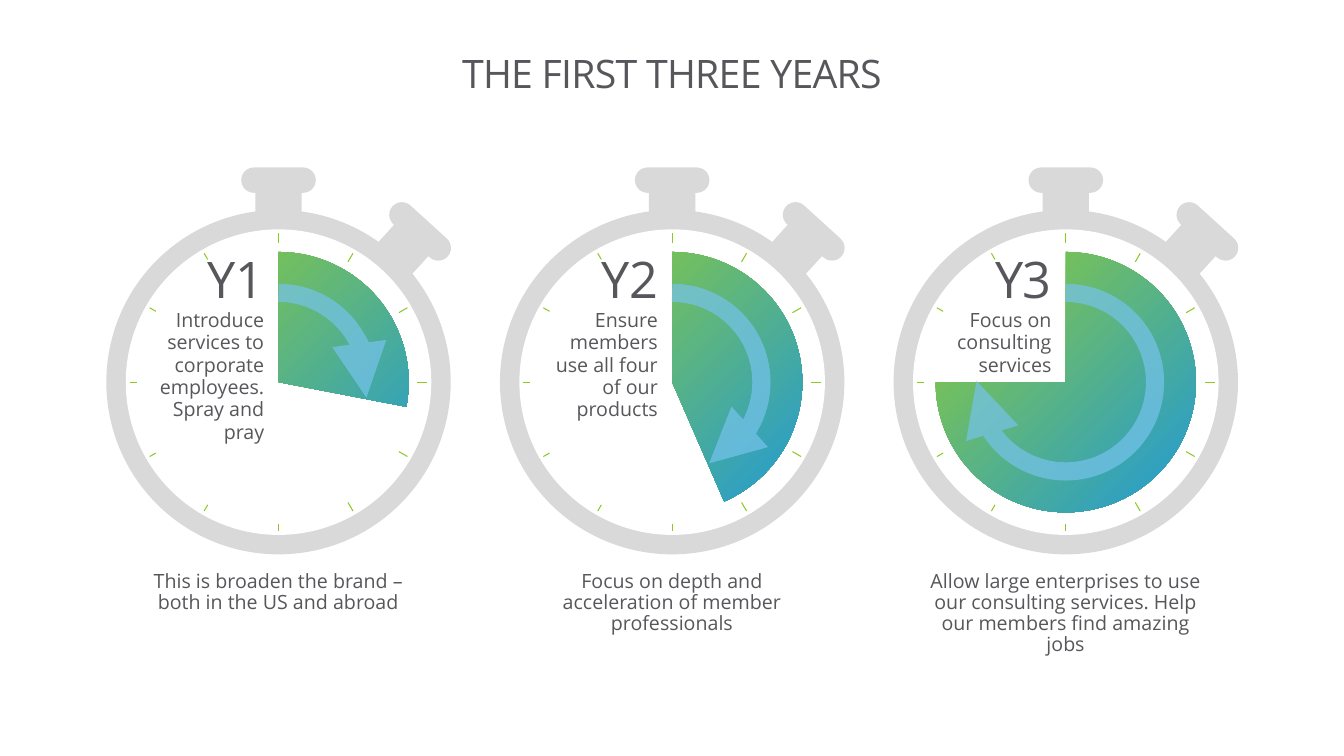
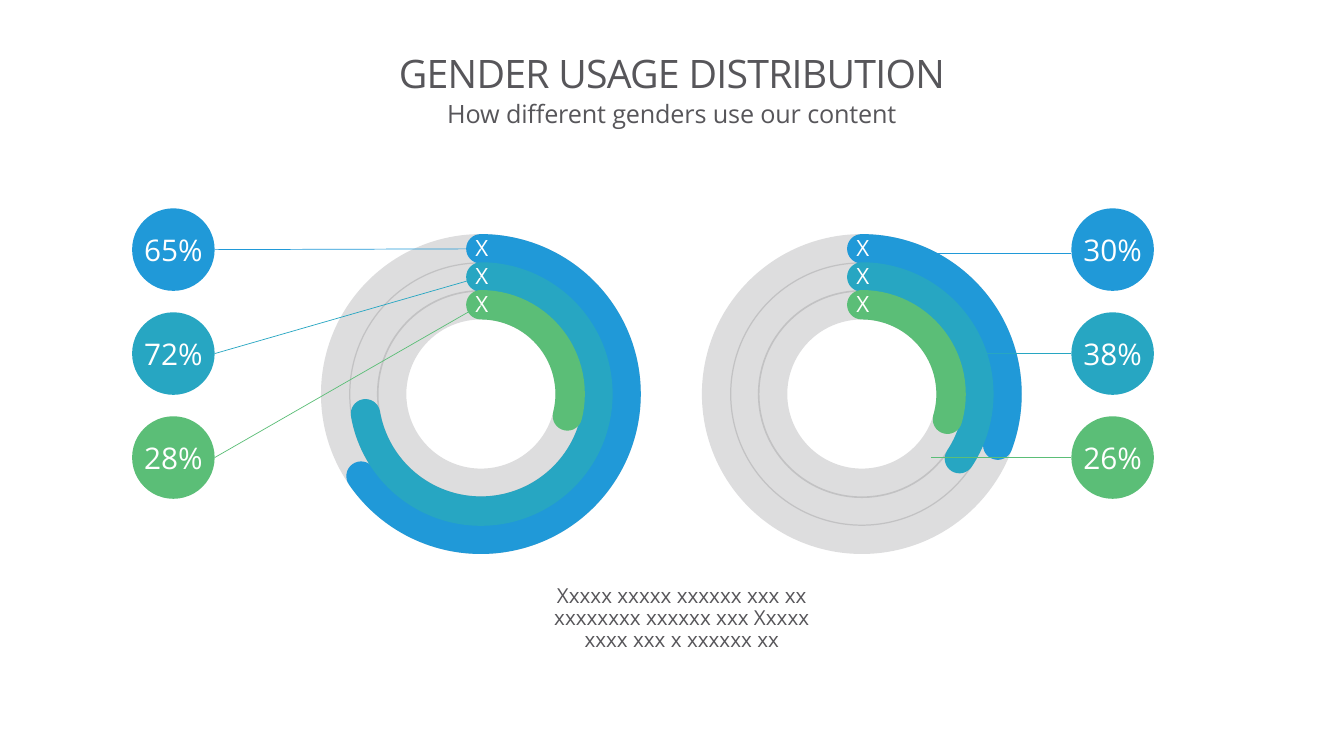
from math import cos, radians, sin

from lxml.etree import SubElement
from pptx import Presentation
from pptx.dml.color import RGBColor
from pptx.enum.shapes import MSO_CONNECTOR, MSO_SHAPE
from pptx.enum.text import MSO_ANCHOR, PP_ALIGN
from pptx.oxml.ns import qn
from pptx.util import Cm, Pt

FONT = "Open Sans"
INK = RGBColor(0x57, 0x56, 0x5A)
WHITE = RGBColor(0xFF, 0xFF, 0xFF)
CASE_GREY = RGBColor(0xD9, 0xD9, 0xD9)
TICK_GREEN = RGBColor(0x8D, 0xC9, 0x28)
LEAF = RGBColor(0x7E, 0xC4, 0x4E)
SKY = RGBColor(0x76, 0xC3, 0xEB)
BLUE = RGBColor(0x20, 0x99, 0xD8)
TEAL = RGBColor(0x27, 0xA6, 0xC2)
GREEN = RGBColor(0x5B, 0xBE, 0x77)

SERIES = (BLUE, TEAL, GREEN)
TEXT_INSETS = (0.25, 0.13, 0.25, 0.13)
NO_INSETS = (0, 0, 0, 0)
TWELVE_O_CLOCK = 270

# Stopwatches: first centre, distance between centres, common height
WATCH_X, WATCH_PITCH, WATCH_Y = 7.02, 9.92, 9.63
WATCHES = (
    ("Y1", "Introduce services to corporate employees. Spray and pray",
     "This is broaden the brand – both in the US and abroad", 10.9, 10),
    ("Y2", "Ensure members use all four of our products",
     "Focus on depth and acceleration of member professionals", 66.4, 65.5),
    ("Y3", "Focus on consulting services",
     "Allow large enterprises to use our consulting services. "
     "Help our members find amazing jobs", 179.9, 180.8),
)

# Ring charts: common height, radii from outside in, badge rows
RING_Y = 9.93
RING_RADII = (3.66, 2.95, 2.25)
BADGE_SIZE = 2.08
BADGE_ROWS = [6.29 + 2.62 * row for row in range(3)]


def centred(x, y, width, height):
    """Frame (left, top, width, height) around a centre."""
    return x - width / 2, y - height / 2, width, height


def polar(x, y, radius, clock_angle):
    """Point at a distance from a centre, clockwise from twelve o'clock."""
    turn = radians(clock_angle)
    return x + radius * sin(turn), y - radius * cos(turn)


def add_figure(page, kind, frame, fill=None):
    figure = page.shapes.add_shape(kind, *map(Cm, frame))
    figure.shadow.inherit = False
    figure.line.fill.background()
    if fill is None:
        figure.fill.background()
    else:
        figure.fill.solid()
        figure.fill.fore_color.rgb = fill
    return figure


def add_circle(page, x, y, radius, fill=None):
    return add_figure(page, MSO_SHAPE.OVAL, centred(x, y, 2 * radius, 2 * radius), fill)


def add_sweep(page, kind, x, y, radius, end):
    """Pie or arc that runs clockwise from twelve o'clock."""
    sweep = add_figure(page, kind, centred(x, y, 2 * radius, 2 * radius))
    sweep.adjustments[0] = TWELVE_O_CLOCK * 0.6
    sweep.adjustments[1] = end * 0.6
    return sweep


def stroke(figure, colour, weight, opacity=100, cap="flat", arrow=False):
    figure.line.color.rgb = colour
    figure.line.width = Pt(weight)
    outline = figure.element.spPr.find(qn("a:ln"))
    outline.set("cap", cap)
    if opacity < 100:
        tint = outline.find(".//" + qn("a:srgbClr"))
        SubElement(tint, qn("a:alpha")).set("val", str(opacity * 1000))
    if arrow:
        SubElement(outline, qn("a:tailEnd")).set("type", "triangle")


def fill_from_corner(figure, corner, outside):
    """Radial gradient that spreads from the bottom right corner."""
    figure.fill.gradient()
    stops = figure.fill.gradient_stops
    for stop, colour, position in zip(stops, (corner, outside), (0, 0.84)):
        stop.color.rgb = colour
        stop.position = position
    gradient = figure.element.spPr.find(qn("a:gradFill"))
    gradient.remove(gradient.find(qn("a:lin")))
    spread = SubElement(gradient, qn("a:path"))
    spread.set("path", "circle")
    focus = SubElement(spread, qn("a:fillToRect"))
    focus.set("l", "100000")
    focus.set("t", "100000")


def add_line(page, start, end, colour, weight):
    line = page.shapes.add_connector(MSO_CONNECTOR.STRAIGHT, *map(Cm, start + end))
    line.line.color.rgb = colour
    line.line.width = Pt(weight)
    SubElement(line.element.spPr, qn("a:effectLst"))


def write(box, paragraphs, colour=INK, align=PP_ALIGN.CENTER, spacing=None,
          insets=TEXT_INSETS, anchor=MSO_ANCHOR.TOP, wrap=True):
    """Fill a box with paragraphs given as (text, size, tracking)."""
    frame = box.text_frame
    frame.word_wrap = wrap
    frame.vertical_anchor = anchor
    (frame.margin_left, frame.margin_top,
     frame.margin_right, frame.margin_bottom) = map(Cm, insets)
    for index, (text, size, tracking) in enumerate(paragraphs):
        para = frame.add_paragraph() if index else frame.paragraphs[0]
        para.alignment = align
        if spacing is not None:
            para.line_spacing = spacing
        span = para.add_run()
        span.text = text
        span.font.name = FONT
        span.font.size = Pt(size)
        span.font.color.rgb = colour
        if tracking:
            span.font._element.set("spc", str(round(tracking * 100)))


def add_text(page, frame, paragraphs, **style):
    write(page.shapes.add_textbox(*map(Cm, frame)), paragraphs, **style)


def add_page(deck, title, subtitle=None):
    page = deck.slides.add_slide(deck.slide_layouts[6])
    add_text(page, (2.54, 0.79, 28.78, 2.26), [(title, 28, -0.5)],
             spacing=0.86, insets=NO_INSETS, anchor=MSO_ANCHOR.MIDDLE)
    if subtitle:
        add_text(page, (2.54, 2.59, 28.78, 1.12), [(subtitle, 18, -0.1)],
                 spacing=0.86, insets=NO_INSETS)
    return page


def add_stopwatch(page, x, y):
    add_circle(page, x, y, 4.34, CASE_GREY)
    for direction, tilt, push in ((0, 0, 0), (43.2, 42.3, 0.12)):
        cap = add_figure(page, MSO_SHAPE.ROUNDED_RECTANGLE,
                         centred(*polar(x, y, 5.09 + push, direction), 1.88, 0.64),
                         CASE_GREY)
        cap.adjustments[0] = 0.5
        neck = add_figure(page, MSO_SHAPE.RECTANGLE,
                          centred(*polar(x, y, 4.42 + push, direction), 1.17, 0.91),
                          CASE_GREY)
        cap.rotation = neck.rotation = tilt
    add_circle(page, x, y, 3.85, WHITE)
    for angle in range(0, 360, 30):
        inner = 3.5 if angle < 180 else 3.57
        add_line(page, polar(x, y, 3.75, angle), polar(x, y, inner, angle),
                 TICK_GREEN, 0.75)


def add_year(page, x, y, year, goal, caption, pie_end, arrow_end):
    add_stopwatch(page, x, y)
    pie = add_sweep(page, MSO_SHAPE.PIE, x, y, 3.28, pie_end)
    fill_from_corner(pie, BLUE, LEAF)
    arrow = add_sweep(page, MSO_SHAPE.ARC, x, y, 2.25, arrow_end)
    stroke(arrow, SKY, 13, opacity=70, arrow=True)
    add_text(page, (x - 3.74, 7.09, 3.63, 3.1), [(year, 36, -0.5), (goal, 14, 0)],
             align=PP_ALIGN.RIGHT, spacing=Pt(16))
    add_text(page, (x - 3.69, 14.27, 7.37, 1.88), [(caption, 14, 0)], spacing=0.9)


def add_ring_chart(page, x, ends):
    for radius in RING_RADII:
        stroke(add_circle(page, x, RING_Y, radius), INK, 21, opacity=20)
    for radius, end, colour in zip(RING_RADII, ends, SERIES):
        arc = add_sweep(page, MSO_SHAPE.ARC, x, RING_Y, radius, end)
        stroke(arc, colour, 21, cap="rnd")
    for radius in RING_RADII:
        add_text(page, (x - 0.39, RING_Y - radius - 0.42, 0.86, 0.86),
                 [("X", 16, 0)], colour=WHITE, align=PP_ALIGN.LEFT,
                 spacing=0.89, wrap=False)


def add_badges(page, x, shares):
    for y, share, colour in zip(BADGE_ROWS, shares, SERIES):
        badge = add_circle(page, x, y, BADGE_SIZE / 2, colour)
        write(badge, [(share, 21.3, 0)], colour=WHITE, anchor=MSO_ANCHOR.MIDDLE,
              insets=(0.33, 0.18, 0.33, 0.18), wrap=False)


def build_years(deck):
    page = add_page(deck, "THE FIRST THREE YEARS")
    for index, watch in enumerate(WATCHES):
        add_year(page, WATCH_X + index * WATCH_PITCH, WATCH_Y, *watch)


def build_genders(deck):
    page = add_page(deck, "GENDER USAGE DISTRIBUTION",
                    "How different genders use our content")
    left_ring, right_ring = 12.12, 21.72
    left_badges, right_badges = 4.37, 28.04
    add_ring_chart(page, left_ring, (145.6, 170.3, 14.2))
    add_ring_chart(page, right_ring, (20.6, 33.5, 16.4))
    add_text(page, (12.7, 14.63, 8.97, 2.08),
             [("Xxxxx xxxxx xxxxxx xxx xx xxxxxxxx xxxxxx xxx Xxxxx xxxx "
               "xxx x xxxxxx xx", 14.7, 0)],
             spacing=0.89, insets=(0.69, 0.13, 0.69, 0.28))
    for y, radius, colour in zip(BADGE_ROWS, RING_RADII, SERIES):
        add_line(page, (left_badges + BADGE_SIZE / 2, y),
                 (left_ring, RING_Y - radius), colour, 0.5)
    level_ends = ((22.66, 6.38), (24.66, BADGE_ROWS[1]), (23.47, BADGE_ROWS[2]))
    for (x, y), colour in zip(level_ends, SERIES):
        add_line(page, (right_badges - BADGE_SIZE / 2, y), (x, y), colour, 0.5)
    add_badges(page, left_badges, ("65%", "72%", "28%"))
    add_badges(page, right_badges, ("30%", "38%", "26%"))


def main():
    deck = Presentation()
    deck.slide_width, deck.slide_height = Cm(33.87), Cm(19.05)
    build_years(deck)
    build_genders(deck)
    deck.save("out.pptx")


if __name__ == "__main__":
    main()
